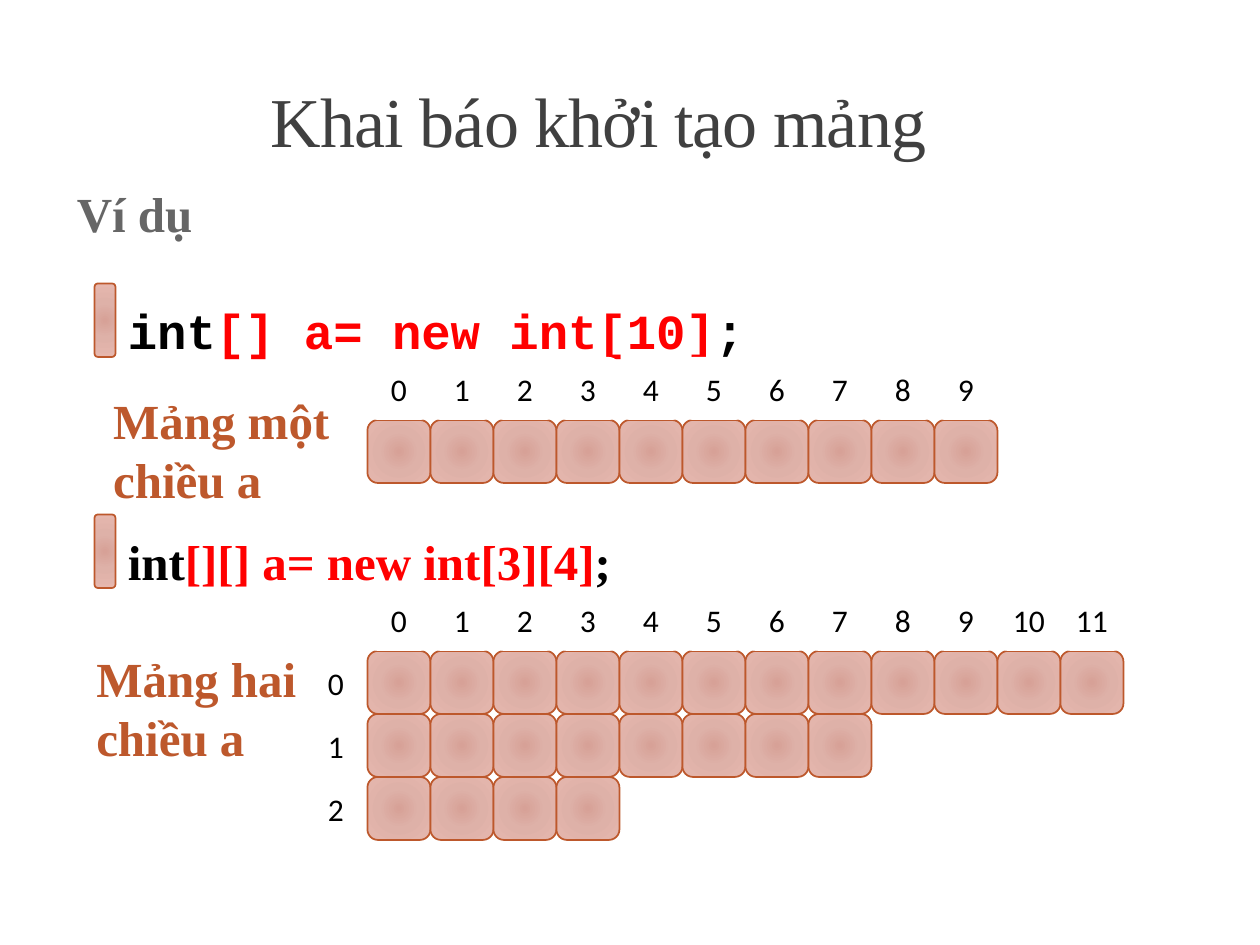
from dataclasses import dataclass

from pptx import Presentation
from pptx.dml.color import RGBColor
from pptx.enum.shapes import MSO_SHAPE
from pptx.enum.text import MSO_ANCHOR, MSO_AUTO_SIZE, PP_ALIGN
from pptx.oxml import parse_xml
from pptx.oxml.ns import nsdecls, qn
from pptx.util import Pt


@dataclass(frozen=True)
class Theme:
    """Colours, fonts and type sizes of the slide."""
    title: str = "404040"
    heading: str = "666666"
    accent: str = "BD582C"
    keyword: str = "000000"
    highlight: str = "FF0000"
    background: str = "FFFFFF"
    cell_stops: tuple = ((0, "D7A197"), (45, "DEB1A8"), (100, "E6B7AE"))
    serif: str = "Times New Roman"
    mono: str = "Courier New"
    sans: str = "Calibri"
    title_size: int = 40
    text_size: int = 28
    index_size: int = 18


THEME = Theme()
CELL = 36
COLUMNS_LEFT = 210


def apply(target, formats):
    """Set every attribute named in formats on target."""
    for attribute, value in formats.items():
        setattr(target, attribute, value)


def place(target, left, top, width, height):
    """Move and size an element in points."""
    apply(target, {"left": Pt(left), "top": Pt(top), "width": Pt(width), "height": Pt(height)})


def write(paragraph, wording, colour, font, size, bold=True):
    """Append a formatted run to a paragraph."""
    run = paragraph.add_run()
    run.text = wording
    apply(run.font, {"name": font, "size": Pt(size), "bold": bold})
    run.font.color.rgb = RGBColor.from_string(colour)
    return run


def add_title(slide, wording):
    """Fill and format the title placeholder."""
    title = slide.shapes.title
    place(title, 27, 51, 630, 45)
    apply(title.text_frame, {"vertical_anchor": MSO_ANCHOR.BOTTOM, "word_wrap": True,
                             "auto_size": MSO_AUTO_SIZE.NONE})
    paragraph = title.text_frame.paragraphs[0]
    apply(paragraph, {"alignment": PP_ALIGN.CENTER, "line_spacing": 0.85})
    run = write(paragraph, wording, THEME.title, THEME.serif, THEME.title_size, False)
    run.font._element.set("spc", "-50")


def add_text(slide, bounds, pieces, font=THEME.serif):
    """Add a wrapping text box made of (wording, colour) pieces."""
    caption = slide.shapes.add_textbox(*map(Pt, bounds))
    caption.text_frame.word_wrap = True
    paragraph = caption.text_frame.paragraphs[0]
    for wording, colour in pieces:
        write(paragraph, wording, colour, font, THEME.text_size)
    return caption.text_frame


def add_heading(slide, wording):
    """Add the section heading with its hanging blank bullet."""
    frame = add_text(slide, (30, 105, 654, 378), [(wording, THEME.heading)])
    apply(frame, {"margin_left": 0, "margin_right": 0})
    paragraph = frame.paragraphs[0]
    apply(paragraph, {"line_spacing": 0.9, "space_before": Pt(12), "space_after": Pt(2)})
    properties = paragraph._p.get_or_add_pPr()
    properties.set("marL", str(Pt(7.2)))
    properties.set("indent", str(-Pt(7.2)))
    properties.append(parse_xml(f'<a:buChar {nsdecls("a")} char=" "/>'))


def add_block(slide, left, top, width=CELL, height=CELL):
    """Add a rounded block with a radial fill and an accent outline."""
    block = slide.shapes.add_shape(MSO_SHAPE.ROUNDED_RECTANGLE, *map(Pt, (left, top, width, height)))
    block.shadow.inherit = False
    block.line.color.rgb = RGBColor.from_string(THEME.accent)
    block.line.width = Pt(1)
    block.fill.gradient()
    stops = "".join(f'<a:gs pos="{position * 1000}"><a:srgbClr val="{colour}"/></a:gs>'
                    for position, colour in THEME.cell_stops)
    radial = parse_xml(
        f'<a:gradFill {nsdecls("a")} rotWithShape="1"><a:gsLst>{stops}</a:gsLst><a:path path="circle">'
        '<a:fillToRect l="100000" t="100000" r="100000" b="100000"/></a:path></a:gradFill>')
    properties = block._element.spPr
    properties.replace(properties.find(qn("a:gradFill")), radial)


def add_index(slide, number, left, top):
    """Add a white tile that holds an array index."""
    tile = slide.shapes.add_shape(MSO_SHAPE.ROUNDED_RECTANGLE, *map(Pt, (left, top, CELL, CELL)))
    tile.shadow.inherit = False
    tile.fill.solid()
    tile.fill.fore_color.rgb = RGBColor.from_string(THEME.background)
    tile.line.fill.background()
    apply(tile.text_frame, {"vertical_anchor": MSO_ANCHOR.MIDDLE, "word_wrap": False})
    paragraph = tile.text_frame.paragraphs[0]
    paragraph.alignment = PP_ALIGN.CENTER
    write(paragraph, str(number), THEME.keyword, THEME.sans, THEME.index_size, False)


def add_declaration(slide, top, expression, font):
    """Add a marker and the code line that declares an array."""
    add_block(slide, 54, top, 12, 42)
    pieces = [("int", THEME.keyword), (expression, THEME.highlight), (";", THEME.keyword)]
    add_text(slide, (66, top + 6, 654, 41), pieces, font)


def add_array(slide, top, row_lengths):
    """Draw array rows of the given lengths below their column indices."""
    for row, length in enumerate(row_lengths):
        row_top = top + (row + 1) * CELL
        if len(row_lengths) > 1:
            add_index(slide, row, COLUMNS_LEFT - CELL, row_top)
        for column in range(length):
            add_block(slide, COLUMNS_LEFT + column * CELL, row_top)
    for column in range(max(row_lengths)):
        add_index(slide, column, COLUMNS_LEFT + column * CELL, top)


def main():
    """Build the slide on declaring and initialising arrays."""
    deck = Presentation()
    apply(deck, {"slide_width": Pt(720), "slide_height": Pt(540)})
    slide = deck.slides.add_slide(deck.slide_layouts[5])
    add_title(slide, "Khai báo khởi tạo mảng")
    add_heading(slide, "Ví dụ")
    examples = (
        (162, "[] a= new int[10]", THEME.mono, (10,), "Mảng một chiều a", (57.6, 219.6, 144, 75)),
        (294, "[][] a= new int[3][4]", THEME.serif, (12, 8, 4), "Mảng hai chiều a", (48, 367, 138, 75)),
    )
    for top, expression, font, row_lengths, label, label_bounds in examples:
        add_declaration(slide, top, expression, font)
        add_array(slide, top + 42, row_lengths)
        add_text(slide, label_bounds, [(label, THEME.accent)])
    deck.save("out.pptx")


if __name__ == "__main__":
    main()
